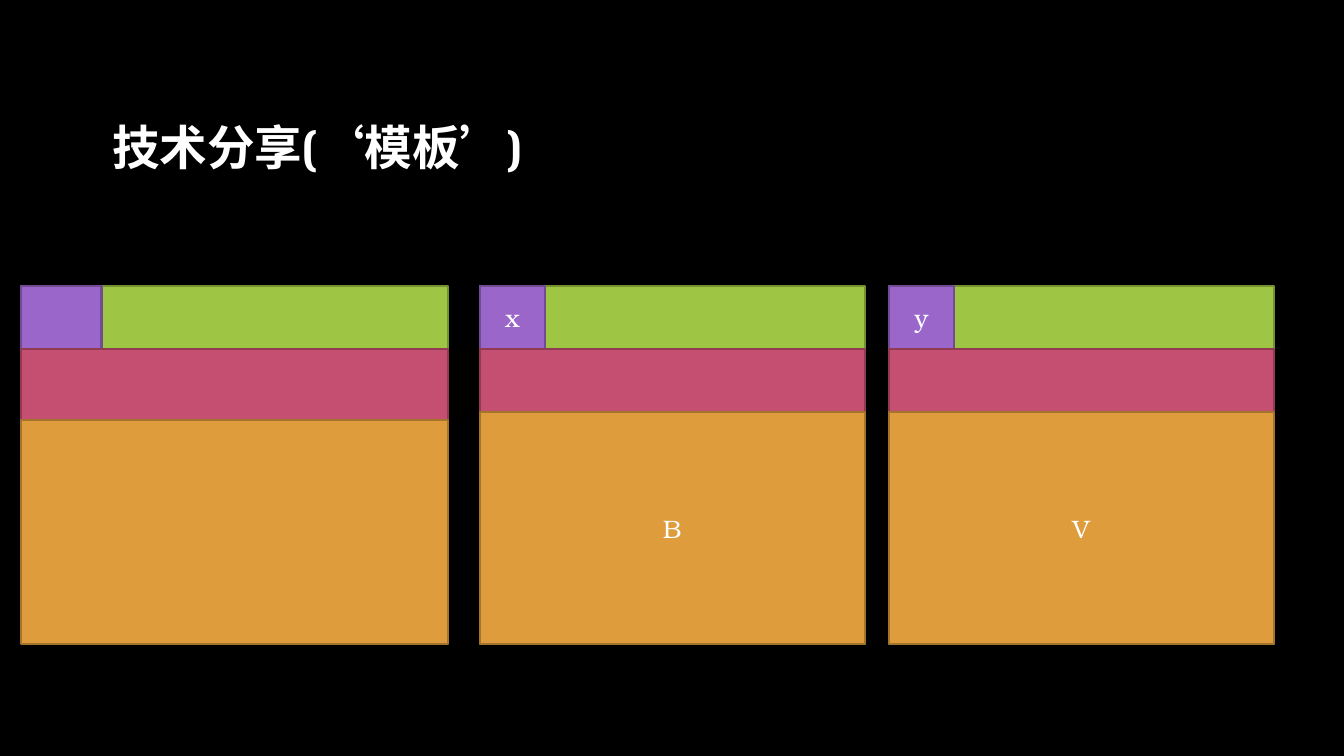
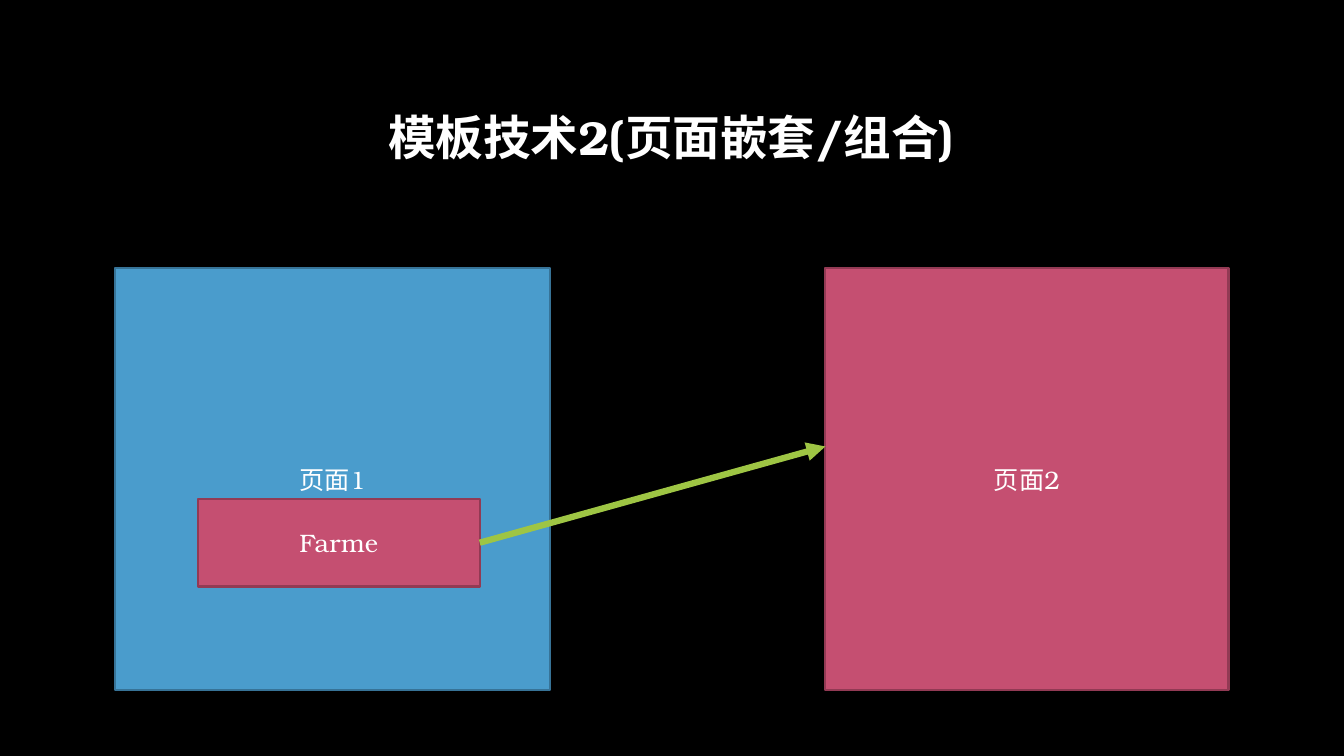
from lxml import etree
from pptx import Presentation
from pptx.dml.color import RGBColor
from pptx.enum.shapes import MSO_CONNECTOR, MSO_SHAPE
from pptx.enum.text import MSO_ANCHOR, MSO_AUTO_SIZE, PP_ALIGN
from pptx.oxml.ns import qn
from pptx.util import Cm, Pt

RECT = MSO_SHAPE.RECTANGLE
STRAIGHT = MSO_CONNECTOR.STRAIGHT
LEFT, CENTER = PP_ALIGN.LEFT, PP_ALIGN.CENTER
MIDDLE = MSO_ANCHOR.MIDDLE
NO_AUTOFIT = MSO_AUTO_SIZE.NONE

# Shared style: each box style is (fill, outline)
FONT = "TeX Gyre Bonum"
BLACK, WHITE = "000000", "FFFFFF"
GREEN = ("9EC544", "759232")
PURPLE = ("9A66CA", "724B95")
PINK = ("C54F71", "923A54")
ORANGE = ("DE9C3C", "A4732C")
BLUE = ("4A9CCC", "377397")
TITLE_W, TITLE_H = 28.75, 3.68
RIGHT_SITE = 3

# Content, in centimetres
PANEL_TOP, PANEL_BOTTOM, HEADER_H = 7.21, 16.23, 1.59
PANELS = [
    dict(left=12.09, width=9.7, corner_w=1.65, band_h=1.59,
         back_h=9.02, corner="x", body="B", grouped=True),
    dict(left=22.4, width=9.7, corner_w=1.65, band_h=1.59,
         back_h=9.02, corner="y", body="V", grouped=True),
    dict(left=0.53, width=10.77, corner_w=2.03, band_h=1.78,
         back_h=7.8, corner="", body="", grouped=False),
]
PAGE_TOP, PAGE_H = 6.76, 10.62
PAGE_1 = ("页面1", 2.9, PAGE_TOP, 10.97, PAGE_H, BLUE)
FRAME = ("Farme", 4.98, 12.57, 7.11, 2.21, PINK)
PAGE_2 = ("页面2", 20.8, PAGE_TOP, 10.16, PAGE_H, PINK)
ARROW_END = (20.8, 11.25)


def rgb(value):
    return RGBColor.from_string(value)


def put_text(tf, text, size=18, bold=False, align=CENTER, spacing=None):
    tf.word_wrap = True
    tf.vertical_anchor = MIDDLE
    p = tf.paragraphs[0]
    p.alignment = align
    p.line_spacing = spacing
    r = p.add_run()
    r.text = text
    r.font.name = FONT
    r.font.size = Pt(size)
    r.font.bold = bold
    r.font.color.rgb = rgb(WHITE)


def add_box(shapes, text, left, top, width, height, style):
    sp = shapes.add_shape(RECT, Cm(left), Cm(top), Cm(width), Cm(height))
    sp.shadow.inherit = False
    fill, outline = style
    sp.fill.solid()
    sp.fill.fore_color.rgb = rgb(fill)
    sp.line.color.rgb = rgb(outline)
    sp.line.width = Pt(1.5)
    if text:
        put_text(sp.text_frame, text)
    return sp


def add_titled_slide(prs, text, left, top, align):
    s = prs.slides.add_slide(prs.slide_layouts[5])
    title = s.shapes.title
    title.left, title.top = Cm(left), Cm(top)
    title.width, title.height = Cm(TITLE_W), Cm(TITLE_H)
    title.text_frame.auto_size = NO_AUTOFIT
    put_text(title.text_frame, text, size=34, bold=True, align=align,
             spacing=0.9)
    return s


def add_panel(s, left, width, corner_w, band_h, back_h, corner, body, grouped):
    shapes = s.shapes.add_group_shape().shapes if grouped else s.shapes
    band_top = PANEL_TOP + HEADER_H
    body_top = band_top + band_h
    add_box(shapes, "", left, PANEL_TOP, width, back_h, GREEN)
    add_box(shapes, corner, left, PANEL_TOP, corner_w, HEADER_H, PURPLE)
    add_box(shapes, "", left, band_top, width, band_h, PINK)
    add_box(shapes, body, left, body_top, width, PANEL_BOTTOM - body_top,
            ORANGE)


def add_arrow(s, source, end):
    x, y = end
    line = s.shapes.add_connector(STRAIGHT, 0, 0, Cm(x), Cm(y))
    line.begin_connect(source, RIGHT_SITE)
    line.line.color.rgb = rgb(GREEN[0])
    line.line.width = Pt(4.5)
    # Arrowhead, and no theme shadow
    ln = line.line._get_or_add_ln()
    etree.SubElement(ln, qn("a:tailEnd"), type="triangle")
    etree.SubElement(line._element.spPr, qn("a:effectLst"))


def main():
    prs = Presentation()
    prs.slide_width, prs.slide_height = Cm(33.87), Cm(19.05)
    background = prs.slide_master.background.fill
    background.solid()
    background.fore_color.rgb = rgb(BLACK)

    # Template panels
    s = add_titled_slide(prs, "技术分享(‘模板’)", 2.57, 1.93, LEFT)
    for panel in PANELS:
        add_panel(s, **panel)

    # Nested pages
    s = add_titled_slide(prs, "模板技术2(页面嵌套/组合)", 2.54, 1.7, CENTER)
    page = s.shapes.add_group_shape().shapes
    add_box(page, *PAGE_1)
    frame = add_box(page, *FRAME)
    add_box(s.shapes, *PAGE_2)
    add_arrow(s, frame, ARROW_END)

    prs.save("out.pptx")


if __name__ == "__main__":
    main()
